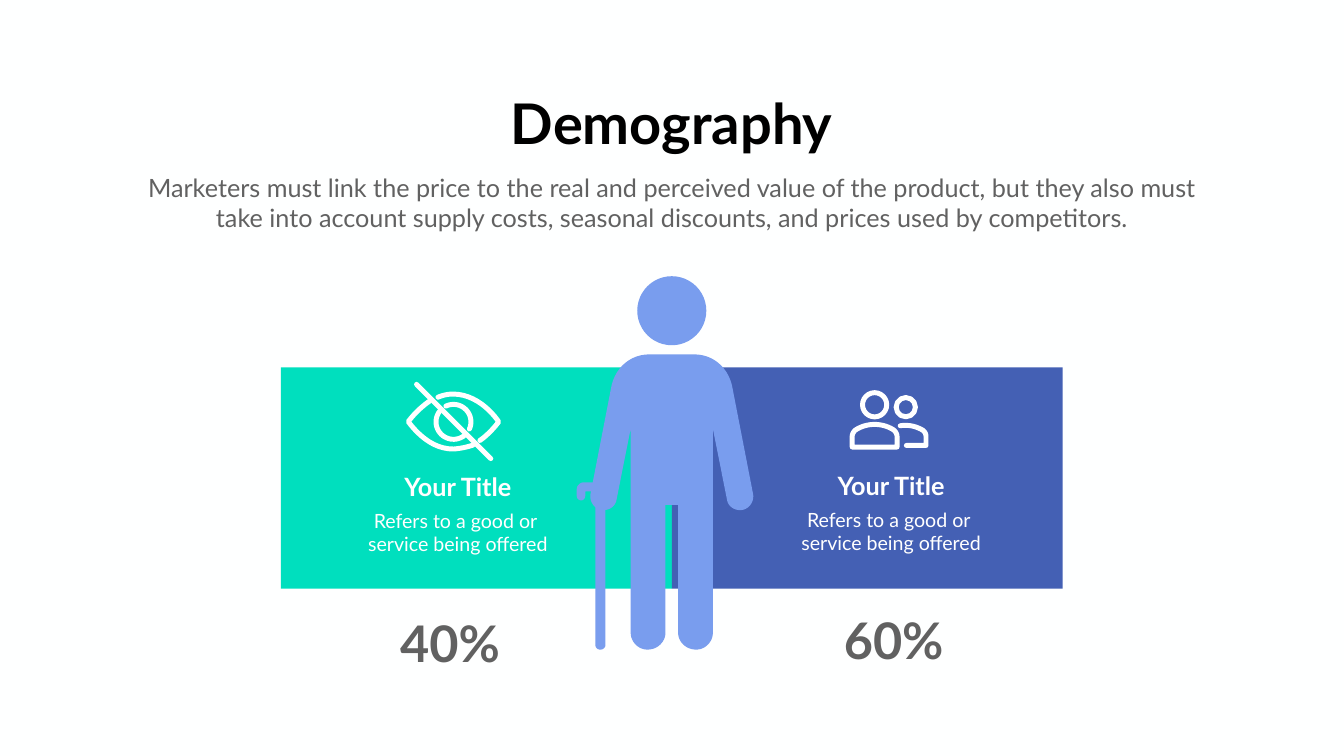
from dataclasses import dataclass
from math import cos, radians, sin

from pptx import Presentation
from pptx.dml.color import RGBColor
from pptx.enum.shapes import MSO_CONNECTOR as Connector, MSO_SHAPE as Shape
from pptx.enum.text import PP_ALIGN as Align
from pptx.oxml.ns import qn
from pptx.oxml.xmlchemy import OxmlElement
from pptx.util import Cm, Pt


@dataclass(frozen=True)
class Theme:
    font: str = "Lato"
    background: str = "FEFFFF"
    black: str = "000000"
    grey: str = "616161"
    white: str = "FFFFFF"
    teal: str = "00DFBE"
    indigo: str = "4460B4"
    person: str = "799DEE"
    title_size: int = 80
    percent_size: int = 72
    heading_size: int = 36
    detail_size: int = 28
    stroke: float = 0.25


THEME = Theme()
WIDTH, HEIGHT = 67.72, 38.1
CENTER = 33.85
PANEL_TOP, PANEL_WIDTH, PANEL_HEIGHT = 18.52, 19.7, 11.15
CURVE_STEPS = 12


def trace(start, *steps):
    points = [start]
    for step in steps:
        if len(step) == 2:
            points.append(step)
            continue
        (x0, y0), (x1, y1, x2, y2, x3, y3) = points[-1], step
        for index in range(1, CURVE_STEPS + 1):
            t = index / CURVE_STEPS
            a, b, c, d = (1 - t) ** 3, 3 * t * (1 - t) ** 2, 3 * t * t * (1 - t), t ** 3
            points.append((a * x0 + b * x1 + c * x2 + d * x3,
                           a * y0 + b * y1 + c * y2 + d * y3))
    return points


def arc(x, y, radius, start, end):
    angles = [radians(start + (end - start) * i / 24) for i in range(25)]
    return [(x + radius * cos(angle), y + radius * sin(angle)) for angle in angles]


def mirror(half, axis):
    right = [(axis + x, y) for x, y in half]
    left = [(axis - x, y) for x, y in reversed(half)]
    return right + left


def paint(shape, color):
    shape.shadow.inherit = False
    shape.fill.solid()
    shape.fill.fore_color.rgb = RGBColor.from_string(color)
    shape.line.fill.background()


def draw_stroke(shape):
    shape.line.color.rgb = RGBColor.from_string(THEME.white)
    shape.line.width = Cm(THEME.stroke)
    line = shape.element.spPr.find(qn("a:ln"))
    line.set("cap", "rnd")
    line.append(OxmlElement("a:round"))


def add_outline(slide, points, closed=True):
    scaled = [(Cm(x), Cm(y)) for x, y in points]
    builder = slide.shapes.build_freeform(*scaled[0])
    builder.add_line_segments(scaled[1:], close=closed)
    return builder.convert_to_shape()


def add_stroke(slide, points, closed=False):
    shape = add_outline(slide, points, closed)
    shape.shadow.inherit = False
    shape.fill.background()
    draw_stroke(shape)


def add_circle(slide, x, y, diameter):
    corner = Cm(x - diameter / 2), Cm(y - diameter / 2)
    return slide.shapes.add_shape(Shape.OVAL, *corner, Cm(diameter), Cm(diameter))


def add_ring(slide, x, y, diameter):
    ring = add_circle(slide, x, y, diameter)
    ring.shadow.inherit = False
    ring.fill.background()
    draw_stroke(ring)


def add_line(slide, start, end):
    connector = slide.shapes.add_connector(
        Connector.STRAIGHT, *(Cm(value) for value in start + end))
    draw_stroke(connector)
    connector.element.spPr.append(OxmlElement("a:effectLst"))


def add_panel(slide, left, color):
    panel = slide.shapes.add_shape(
        Shape.RECTANGLE, Cm(left), Cm(PANEL_TOP), Cm(PANEL_WIDTH), Cm(PANEL_HEIGHT))
    paint(panel, color)


def add_text(slide, lines, center, top, width, height, size, color, bold=False):
    box = slide.shapes.add_textbox(
        Cm(center - width / 2), Cm(top), Cm(width), Cm(height))
    frame = box.text_frame
    frame.word_wrap = True
    frame.text = "\n".join(lines)
    for paragraph in frame.paragraphs:
        paragraph.alignment = Align.CENTER
        paragraph.font.name = THEME.font
        paragraph.font.size = Pt(size)
        paragraph.font.bold = bold
        paragraph.font.color.rgb = RGBColor.from_string(color)


def add_person(slide):
    half_body = trace(
        (1.13, 17.86), (2.04, 17.86, 2.8, 18.47, 3.03, 19.41), (4.1, 24.92),
        (4.15, 25.27, 3.92, 25.63, 3.56, 25.7),
        (3.18, 25.76, 2.83, 25.53, 2.78, 25.17), (2.07, 21.6), (2.07, 31.9),
        (2.07, 32.33, 1.7, 32.74, 1.23, 32.74),
        (0.7, 32.74, 0.32, 32.33, 0.32, 31.9), (0.32, 25.45))
    cane = trace(
        (30.02, 24.31), (29.41, 24.31), (29.24, 24.31, 29.06, 24.46, 29.06, 24.66),
        (29.06, 24.99), (29.06, 25.12, 29.16, 25.22, 29.29, 25.22),
        (29.39, 25.22, 29.49, 25.12, 29.49, 24.99), (29.49, 24.77), (30, 24.77),
        (30, 32.49), (30, 32.64, 30.1, 32.74, 30.25, 32.74),
        (30.38, 32.74, 30.51, 32.64, 30.51, 32.49), (30.51, 24.77),
        (30.51, 24.51, 30.3, 24.31, 30.02, 24.31))
    paint(add_outline(slide, mirror(half_body, CENTER)), THEME.person)
    paint(add_circle(slide, CENTER, 15.66, 3.48), THEME.person)
    paint(add_outline(slide, cane), THEME.person)


def add_hidden_eye_icon(slide):
    upper_lid = trace(
        (22.07, 20.02), (22.33, 19.91, 22.58, 19.86, 22.83, 19.86),
        (23.95, 19.86, 24.79, 20.75, 25.13, 21.26),
        (24.87, 21.6, 24.54, 21.95, 24.18, 22.2))
    lower_lid = trace(
        (21.64, 20.22), (21.23, 20.5, 20.85, 20.88, 20.57, 21.25),
        (20.95, 21.75, 21.74, 22.65, 22.87, 22.63),
        (23.22, 22.6, 23.55, 22.53, 23.84, 22.43))
    iris = 22.85, 21.26, 0.88
    for points in (upper_lid, lower_lid, arc(*iris, -116, 24), arc(*iris, 53, 217)):
        add_stroke(slide, points)
    add_line(slide, (20.99, 19.37), (24.73, 23.11))


def add_people_icon(slide):
    front_half = trace(
        (0, 21.39), (0.34, 21.39, 0.69, 21.49, 0.96, 21.67),
        (1.05, 21.74, 1.13, 21.87, 1.13, 22), (1.13, 22.53))
    back_body = trace(
        (45.36, 21.46), (45.46, 21.44, 45.57, 21.44, 45.67, 21.44),
        (45.97, 21.44, 46.28, 21.55, 46.51, 21.69),
        (46.61, 21.77, 46.66, 21.89, 46.66, 22), (46.66, 22.45), (45.67, 22.45))
    add_ring(slide, 44.07, 20.4, 1.22)
    add_stroke(slide, mirror(front_half, 44.07), closed=True)
    add_ring(slide, 45.64, 20.52, 0.97)
    add_stroke(slide, back_body)


def add_column_text(slide, center, top, percent, percent_center, percent_top):
    add_text(slide, ["Your Title"], center, top, 6.63, 1.8,
             THEME.heading_size, THEME.white, bold=True)
    add_text(slide, ["Refers to a good or ", "service being offered"],
             center, top + 1.85, 10.08, 2.64, THEME.detail_size, THEME.white)
    add_text(slide, [percent], percent_center, percent_top, 6.5, 3.33,
             THEME.percent_size, THEME.grey, bold=True)


def main():
    presentation = Presentation()
    presentation.slide_width, presentation.slide_height = Cm(WIDTH), Cm(HEIGHT)
    slide = presentation.slides.add_slide(presentation.slide_layouts[6])
    slide.background.fill.solid()
    slide.background.fill.fore_color.rgb = RGBColor.from_string(THEME.background)

    add_panel(slide, CENTER - PANEL_WIDTH, THEME.teal)
    add_panel(slide, CENTER, THEME.indigo)
    add_person(slide)
    add_hidden_eye_icon(slide)
    add_people_icon(slide)
    add_text(slide, ["Demography"], CENTER, 4.34, 17.07, 3.68,
             THEME.title_size, THEME.black, bold=True)
    add_text(slide, ["Marketers must link the price to the real and perceived value of "
                     "the product, but they also must take into account supply costs, "
                     "seasonal discounts, and prices used by competitors."],
             CENTER, 8.56, 54.1, 3.33, THEME.heading_size, THEME.grey)
    add_column_text(slide, 23.07, 23.65, "40%", 22.68, 30.71)
    add_column_text(slide, 44.9, 23.6, "60%", 45.03, 30.58)
    presentation.save("out.pptx")


if __name__ == "__main__":
    main()
